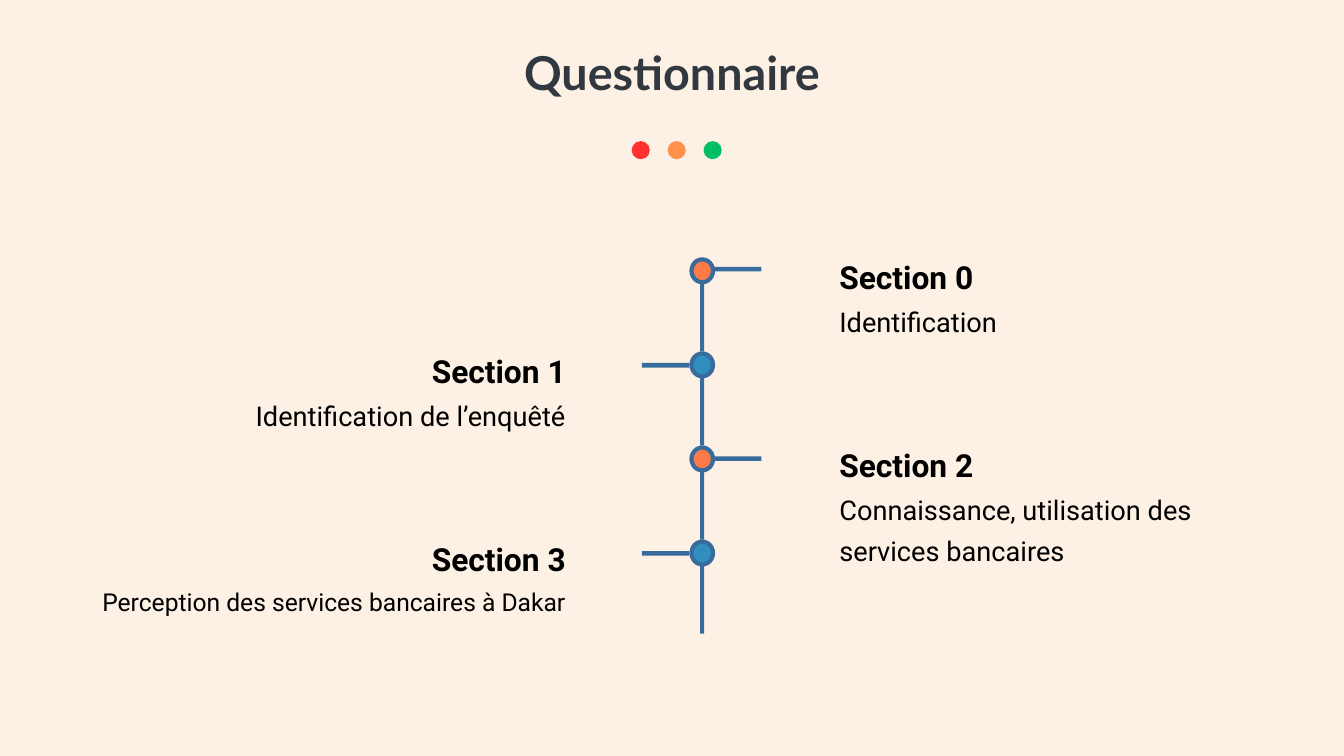
from pptx import Presentation
from pptx import util as u
from pptx.dml.color import RGBColor
from pptx.enum import shapes, text

CREAM = RGBColor(0xFC, 0xF1, 0xE4)
SLATE = RGBColor(0x32, 0x38, 0x40)
BLACK = RGBColor(0x00, 0x00, 0x00)
NAVY = RGBColor(0x38, 0x6C, 0x9C)
CORAL = RGBColor(0xFF, 0x7A, 0x46)
BLUE = RGBColor(0x30, 0x8F, 0xBE)
RED = RGBColor(0xFF, 0x31, 0x31)
ORANGE = RGBColor(0xFF, 0x91, 0x4D)
GREEN = RGBColor(0x00, 0xBF, 0x63)

deck = Presentation()
deck.slide_width = u.Inches(20)
deck.slide_height = u.Inches(11.25)
slide = deck.slides.add_slide(deck.slide_layouts[6])
slide.background.fill.solid()
slide.background.fill.fore_color.rgb = CREAM


def add_filled(kind, left, top, width, height, color):
    filled = slide.shapes.add_shape(
        kind, u.Inches(left), u.Inches(top), u.Inches(width), u.Inches(height))
    filled.shadow.inherit = False
    filled.fill.solid()
    filled.fill.fore_color.rgb = color
    filled.line.fill.background()
    return filled


def add_label(words, left, top, width, height, size, spacing, align,
              font="Roboto", color=BLACK, bold=False):
    label = slide.shapes.add_textbox(
        u.Inches(left), u.Inches(top), u.Inches(width), u.Inches(height))
    frame = label.text_frame
    frame.margin_left = frame.margin_right = frame.margin_top = frame.margin_bottom = 0
    frame.word_wrap = True
    frame.auto_size = text.MSO_AUTO_SIZE.SHAPE_TO_FIT_TEXT
    frame.text = words
    line = frame.paragraphs[0]
    line.alignment = align
    line.line_spacing = u.Pt(spacing)
    run_font = line.runs[0].font
    run_font.name = font
    run_font.size = u.Pt(size)
    run_font.bold = bold
    run_font.color.rgb = color


add_label("Questionnaire", 6.14, 0.82, 7.72, 0.72, 50, 48,
          text.PP_ALIGN.CENTER, "Lato", SLATE, True)

for i, color in enumerate([RED, ORANGE, GREEN]):
    add_filled(shapes.MSO_SHAPE.OVAL, 9.4 + 0.535 * i, 2.1, 0.27, 0.27, color)

sections = [
    ("Identification", 3.97, 0.58, 29.1, 43.7),
    ("Identification de l’enquêté", 5.4, 0.58, 29.1, 43.7),
    ("Connaissance, utilisation des services bancaires", 6.79, 1.18, 29.1, 43.7),
    ("Perception des services bancaires à Dakar", 8.2, 0.53, 26.4, 39.6),
]
step = 1.4
axis = 10.45

for i, (detail, arm_top, height, size, spacing) in enumerate(sections):
    offset = step * i
    if i % 2 == 0:
        left, width, align = 12.49, 6.39, text.PP_ALIGN.LEFT
        arm_left, dot_color = 10.62, CORAL
    else:
        left, width, align = 1.12, 7.3, text.PP_ALIGN.RIGHT
        arm_left, dot_color = 9.55, BLUE
    add_filled(shapes.MSO_SHAPE.RECTANGLE, axis - 0.03, 4.2 + offset, 0.06, 1.03, NAVY)
    add_filled(shapes.MSO_SHAPE.RECTANGLE, arm_left, arm_top, 0.71, 0.07, NAVY)
    dot = add_filled(shapes.MSO_SHAPE.OVAL, axis - 0.16, 3.86 + offset, 0.32, 0.34, dot_color)
    dot.line.color.rgb = NAVY
    dot.line.width = u.Pt(4.5)
    add_label(f"Section {i}", left, 3.79 + offset, width, 0.6, 34, 43.9, align, bold=True)
    add_label(detail, left, 4.42 + offset, width, height, size, spacing, align)

deck.save("out.pptx")
